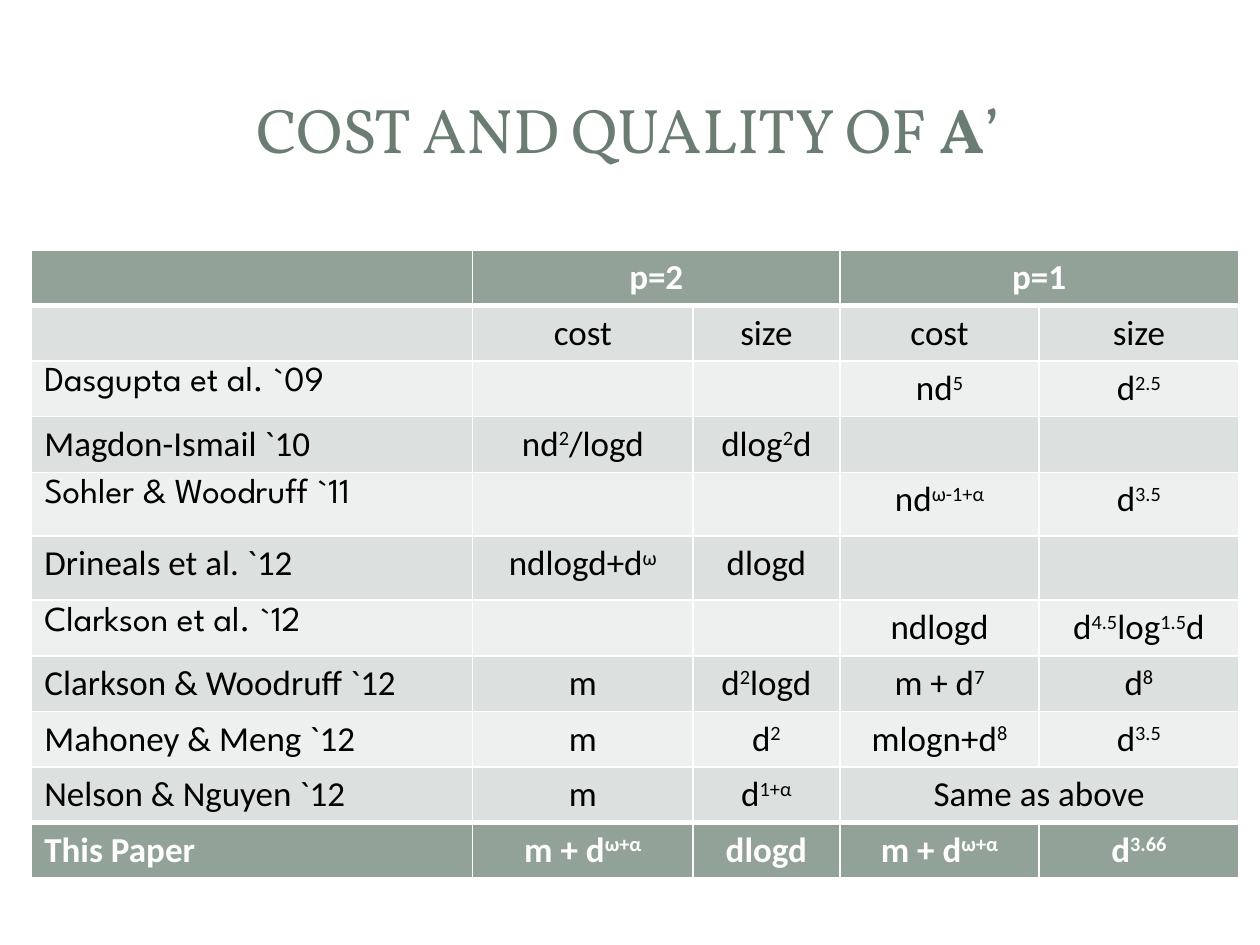
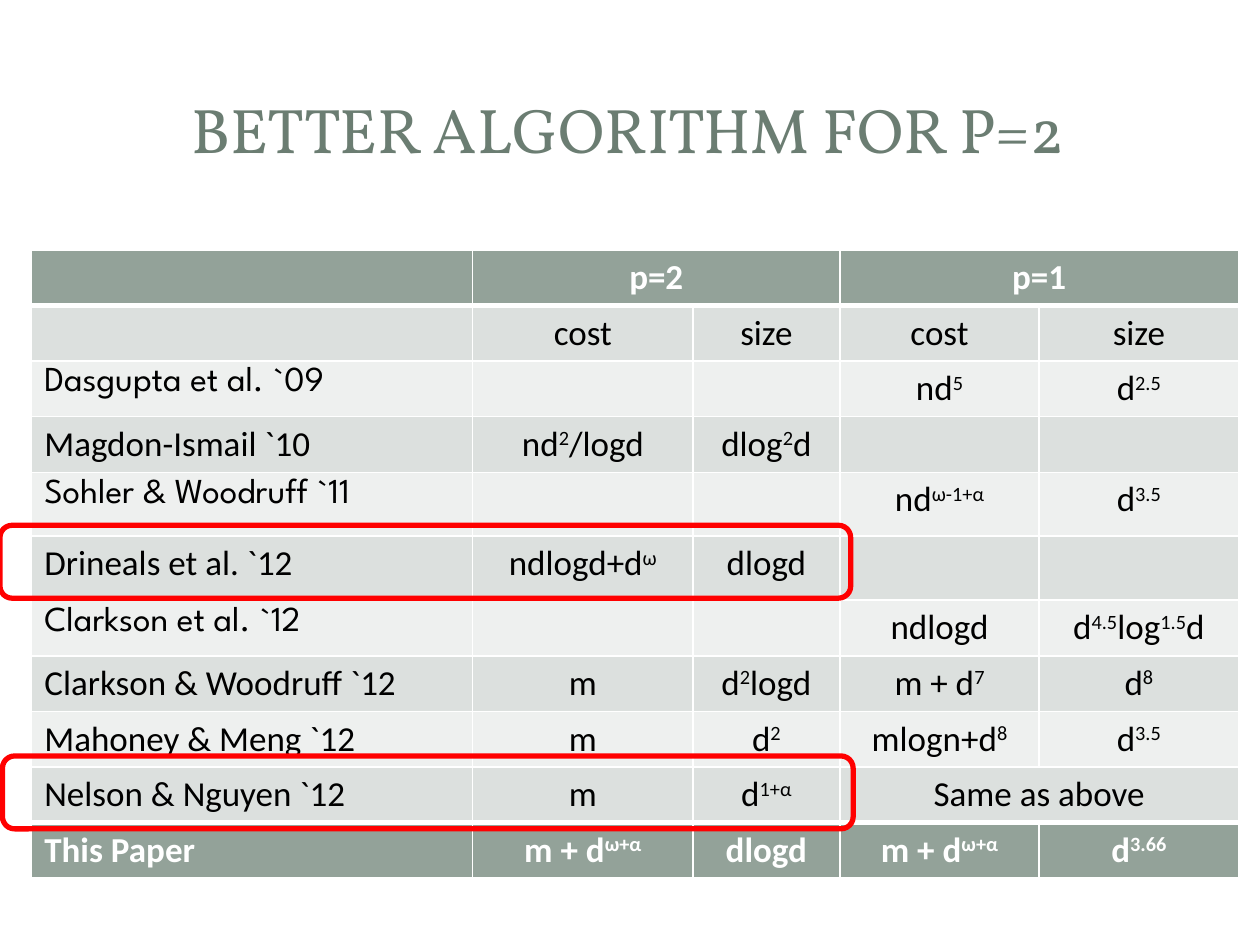
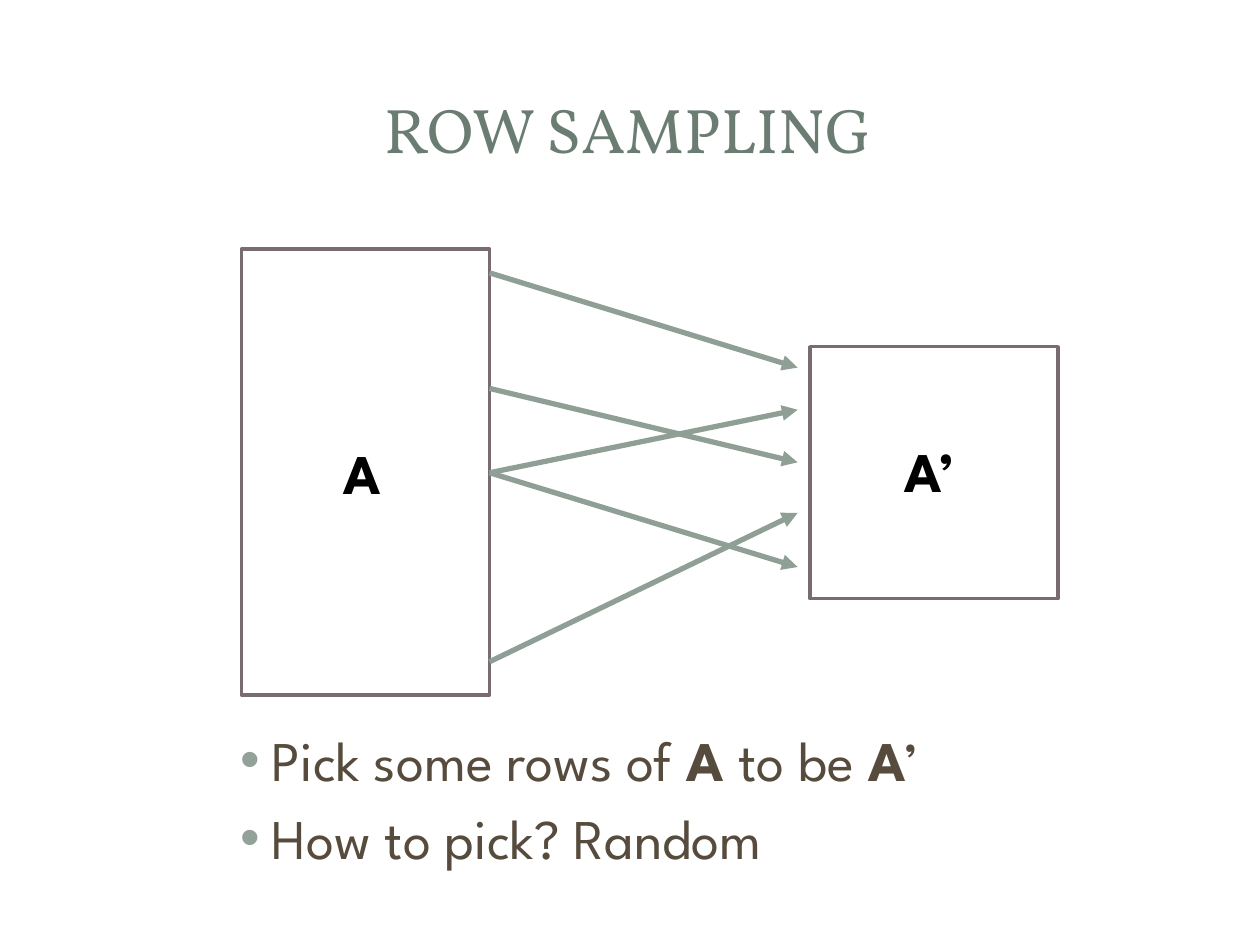
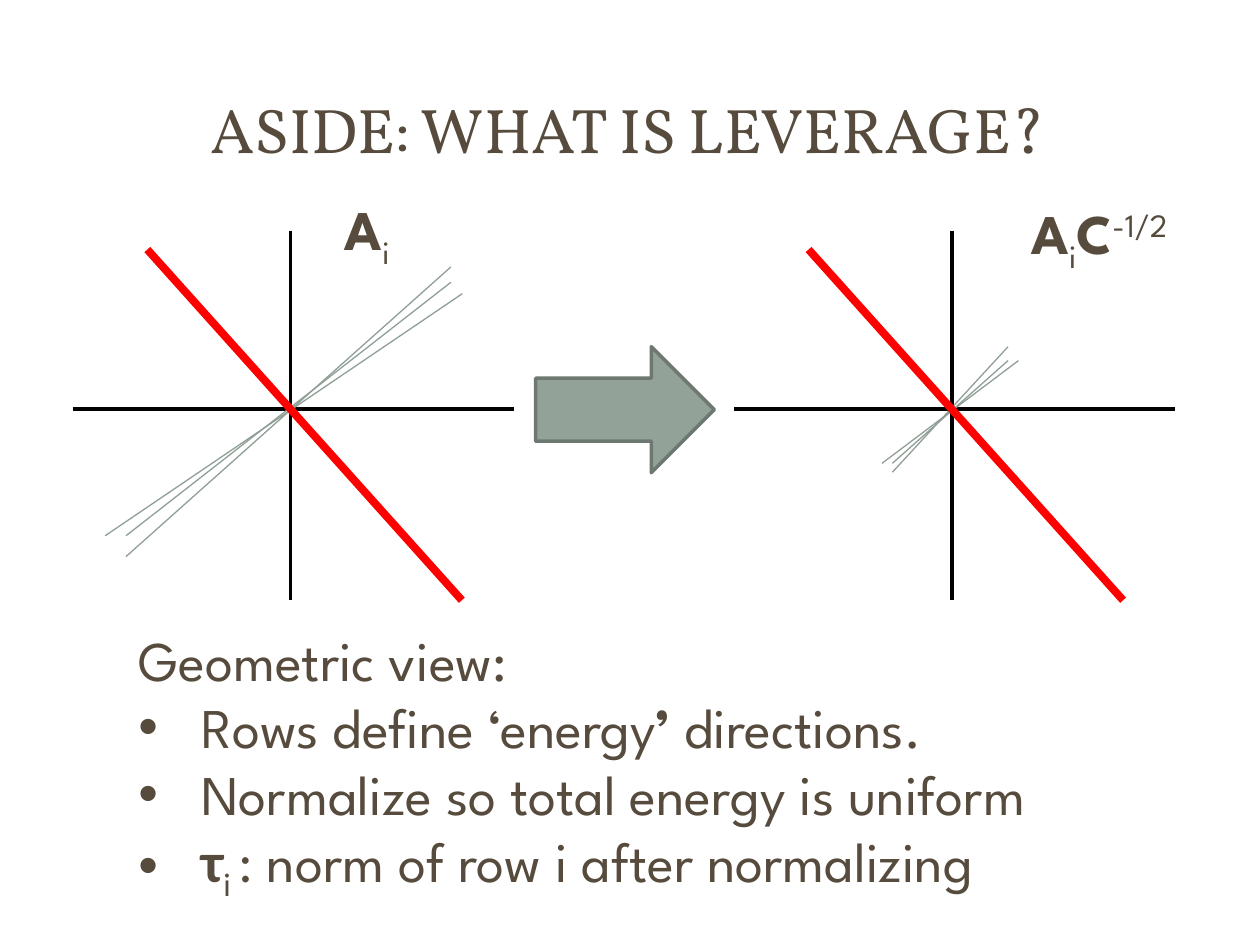
from pptx import Presentation
from pptx.dml.color import RGBColor
from pptx.enum.shapes import MSO_CONNECTOR, MSO_SHAPE
from pptx.enum.text import MSO_ANCHOR, PP_ALIGN
from pptx.oxml.ns import qn
from pptx.util import Cm, Pt
from lxml import etree

CENTER, LEFT = PP_ALIGN.CENTER, PP_ALIGN.LEFT
MIDDLE = MSO_ANCHOR.MIDDLE
STRAIGHT = MSO_CONNECTOR.STRAIGHT
RECT, ROUND = MSO_SHAPE.RECTANGLE, MSO_SHAPE.ROUNDED_RECTANGLE
ARROW = MSO_SHAPE.RIGHT_ARROW

WHITE = RGBColor(0xFF, 0xFF, 0xFF)
BLACK = RGBColor(0x00, 0x00, 0x00)
RED = RGBColor(0xFF, 0x00, 0x00)
SAGE = RGBColor(0x93, 0xA2, 0x99)
RAY = RGBColor(0x8F, 0x9F, 0x96)
MOSS = RGBColor(0x6B, 0x7D, 0x72)
EDGE = RGBColor(0x6D, 0x78, 0x71)
BROWN = RGBColor(0x56, 0x4B, 0x3C)
MAUVE = RGBColor(0x78, 0x6C, 0x71)
DARK = RGBColor(0xDC, 0xE0, 0xDE)
LIGHT = RGBColor(0xEE, 0xF0, 0xEF)

HEAD, BODY, CELL = "Vollkorn", "League Spartan", "Calibri"
SHIFTS = {"^": "30000", "_": "-25000"}


def write(par, text, font, size, color):
    """Add runs to a paragraph: *bold*, ^superscript^, _subscript_."""
    marks, word = set(), ""
    for char in text + "\n":
        if char not in "*^_\n":
            word += char
            continue
        if word:
            run = par.add_run()
            run.text = word
            run.font.name, run.font.size = font, Pt(size)
            run.font.color.rgb = color
            run.font.bold = "*" in marks
            for mark in marks & set(SHIFTS):
                run.font._element.set("baseline", SHIFTS[mark])
            word = ""
        marks ^= {char}


def add_box(slide, place, texts, font=BODY, size=32, color=BROWN):
    """Add a wrapped text box with one paragraph per text; return its frame."""
    frame = slide.shapes.add_textbox(*map(Cm, place)).text_frame
    frame.word_wrap = True
    for i, text in enumerate(texts):
        par = frame.paragraphs[0] if i == 0 else frame.add_paragraph()
        write(par, text, font, size, color)
    return frame


deck = Presentation()
deck.slide_width, deck.slide_height = Cm(25.4), Cm(19.05)

# Page panel, title band and title of every slide
PANELS = [(ROUND, (0.25, 0.28, 24.89, 18.52)),
          (RECT, (0.76, 0.76, 23.88, 3.68)),
          (RECT, (1.04, 1.04, 23.29, 3.1))]
slides = []
for title, color in [
    ("COST AND QUALITY OF *A*’", MOSS),
    ("BETTER ALGORITHM FOR P=2", MOSS),
    ("ROW SAMPLING", MOSS),
    ("ASIDE: WHAT IS LEVERAGE?", BROWN),
]:
    slide = deck.slides.add_slide(deck.slide_layouts[6])
    for kind, place in PANELS:
        panel = slide.shapes.add_shape(kind, *map(Cm, place))
        panel.shadow.inherit = False
        panel.fill.solid()
        panel.fill.fore_color.rgb = WHITE
        panel.line.fill.background()
        if kind == ROUND:
            panel.adjustments[0] = 0.02
    frame = add_box(slide, (1.19, 1.14, 22.94, 2.9), [title], HEAD, 36, color)
    frame.vertical_anchor = MIDDLE
    frame.paragraphs[0].alignment = CENTER
    slides.append(slide)
cost, better, rows, aside = slides

# Table of results, on the first two slides
DATA = [
    ["", "*p=2*", "", "*p=1*", ""],
    ["", "cost", "size", "cost", "size"],
    ["Dasgupta et al. `09", "", "", "nd^5^", "d^2.5^"],
    ["Magdon-Ismail `10", "nd^2^/logd", "dlog^2^d", "", ""],
    ["Sohler & Woodruff `11", "", "", "nd^ω-1+α^", "d^3.5^"],
    ["Drineals et al. `12", "ndlogd+d^ω^", "dlogd", "", ""],
    ["Clarkson et al. `12", "", "", "ndlogd", "d^4.5^log^1.5^d"],
    ["Clarkson & Woodruff `12", "m", "d^2^logd", "m + d^7^", "d^8^"],
    ["Mahoney & Meng `12", "m", "d^2^", "mlogn+d^8^", "d^3.5^"],
    ["Nelson & Nguyen `12", "m", "d^1+α^", "Same as above", ""],
    ["*This Paper*", "*m + d^ω+α^*", "*dlogd*", "*m + d^ω+α^*", "*d^3.66^*"],
]
WIDTHS = [8.89, 4.44, 2.96, 4.02, 4.02]
HEIGHTS = [1.29 if r in (4, 5) else 1.12 for r in range(len(DATA))]
LAST = len(DATA) - 1

for slide in (cost, better):
    table = slide.shapes.add_table(
        len(DATA), len(WIDTHS), Cm(0.64), Cm(5.04),
        Cm(sum(WIDTHS)), Cm(sum(HEIGHTS))).table
    table.first_row = table.horz_banding = False
    for col, width in zip(table.columns, WIDTHS):
        col.width = Cm(width)
    for row, height in zip(table.rows, HEIGHTS):
        row.height = Cm(height)
    for r, c in [(0, 1), (0, 3), (9, 3)]:
        table.cell(r, c).merge(table.cell(r, c + 1))
    for r, texts in enumerate(DATA):
        strong = r in (0, LAST)
        for c, text in enumerate(texts):
            cell = table.cell(r, c)
            props = cell._tc.get_or_add_tcPr()
            thick = {"T": r in (1, LAST), "B": r in (0, LAST - 1)}
            for side in "LRTB":
                width = Pt(3 if thick.get(side) else 1)
                line = etree.SubElement(props, qn("a:ln" + side), w=str(width))
                fill = etree.SubElement(line, qn("a:solidFill"))
                etree.SubElement(fill, qn("a:srgbClr"), val=str(WHITE))
            cell.fill.solid()
            cell.fill.fore_color.rgb = (
                SAGE if strong else DARK if r % 2 else LIGHT)
            par = cell.text_frame.paragraphs[0]
            par.alignment = CENTER if c else LEFT
            font = BODY if c == 0 and r in (2, 4, 6) else CELL
            write(par, text, font, 20, WHITE if strong else BLACK)

# Outlined shapes: highlights, matrices, arrow
for slide, kind, place, fill, color, width in [
    (better, ROUND, (0, 10.59, 17.15, 1.47), None, RED, 3),
    (better, ROUND, (0.05, 15.24, 17.15, 1.47), None, RED, 3),
    (rows, RECT, (16.33, 6.99, 5, 5.08), None, MAUVE, 2),
    (rows, RECT, (4.87, 5.02, 5, 8.99), None, MAUVE, 2),
    (aside, ARROW, (10.8, 6.99, 3.6, 2.54), SAGE, EDGE, 2),
]:
    shape = slide.shapes.add_shape(kind, *map(Cm, place))
    shape.shadow.inherit = False
    if fill is None:
        shape.fill.background()
    else:
        shape.fill.solid()
        shape.fill.fore_color.rgb = fill
    shape.line.color.rgb, shape.line.width = color, Pt(width)

# Lines: sampled rows, then both plots of axes, rays and the long direction
lines = [(rows, (9.87, y1, 16.08, y2), RAY, 3) for y1, y2 in [
    (5.5, 7.41), (9.53, 8.26), (7.83, 9.32), (9.53, 11.43), (13.34, 10.34)]]
wide = [(2.12, 10.8, 9.32, 5.92), (2.54, 11.22, 9.09, 5.38),
        (2.54, 10.8, 9.09, 5.69)]
short = [(17.78, 9.34, 20.53, 7.27), (17.99, 9.52, 20.32, 6.99),
         (17.99, 9.34, 20.32, 7.27)]
for dx, rays in [(0, wide), (13.33, short)]:
    lines += [(aside, (1.47 + dx, 8.25, 10.36 + dx, 8.25), BLACK, 2),
              (aside, (5.86 + dx, 4.65, 5.86 + dx, 12.09), BLACK, 2)]
    lines += [(aside, ray, RAY, 0.75) for ray in rays]
    lines.append((aside, (2.97 + dx, 5.03, 9.31 + dx, 12.1), RED, 4.5))

for slide, ends, color, width in lines:
    line = slide.shapes.add_connector(STRAIGHT, *map(Cm, ends))
    line.line.color.rgb, line.line.width = color, Pt(width)
    props = line._element.spPr
    etree.SubElement(props, qn("a:effectLst"))
    if slide is rows:
        etree.SubElement(props.find(qn("a:ln")), qn("a:tailEnd"),
                         type="triangle")

# Labels
add_box(rows, (17.98, 8.67, 1.7, 1.63), ["*A’*"], color=BLACK)
add_box(rows, (6.68, 8.71, 1.37, 1.63), ["*A*"], color=BLACK)
add_box(aside, (6.7, 3.79, 1.55, 1.7), ["*A*_i_"])
add_box(aside, (20.54, 3.87, 4.01, 1.7), ["*A*_i_*C*^-1/2^"])

# Bulleted text
picks = add_box(rows, (4.26, 14.5, 17.42, 3.18), [
    "Pick some rows of *A* to be *A*’", "How to pick? Random"]).paragraphs
for par in picks:
    par.space_before = Pt(6.4)
views = add_box(aside, (2.54, 12.48, 21.56, 5.74), [
    "Geometric view:",
    "Rows define ‘energy*’* directions.",
    "Normalize so total energy is uniform",
    "",
]).paragraphs
write(views[3], "*τ*_i _:", CELL, 32, BROWN)
write(views[3], " norm of row i after normalizing", BODY, 32, BROWN)

for pars, left, hang, color in [(picks, 0.97, 0.64, SAGE),
                                (views[1:], 1.27, 1.27, BROWN)]:
    for par in pars:
        props = par._p.get_or_add_pPr()
        props.set("marL", str(Cm(left)))
        props.set("indent", str(-Cm(hang)))
        tint = etree.SubElement(props, qn("a:buClr"))
        etree.SubElement(tint, qn("a:srgbClr"), val=str(color))
        etree.SubElement(props, qn("a:buFont"), typeface="Arial")
        etree.SubElement(props, qn("a:buChar"), char="•")

deck.save("out.pptx")
